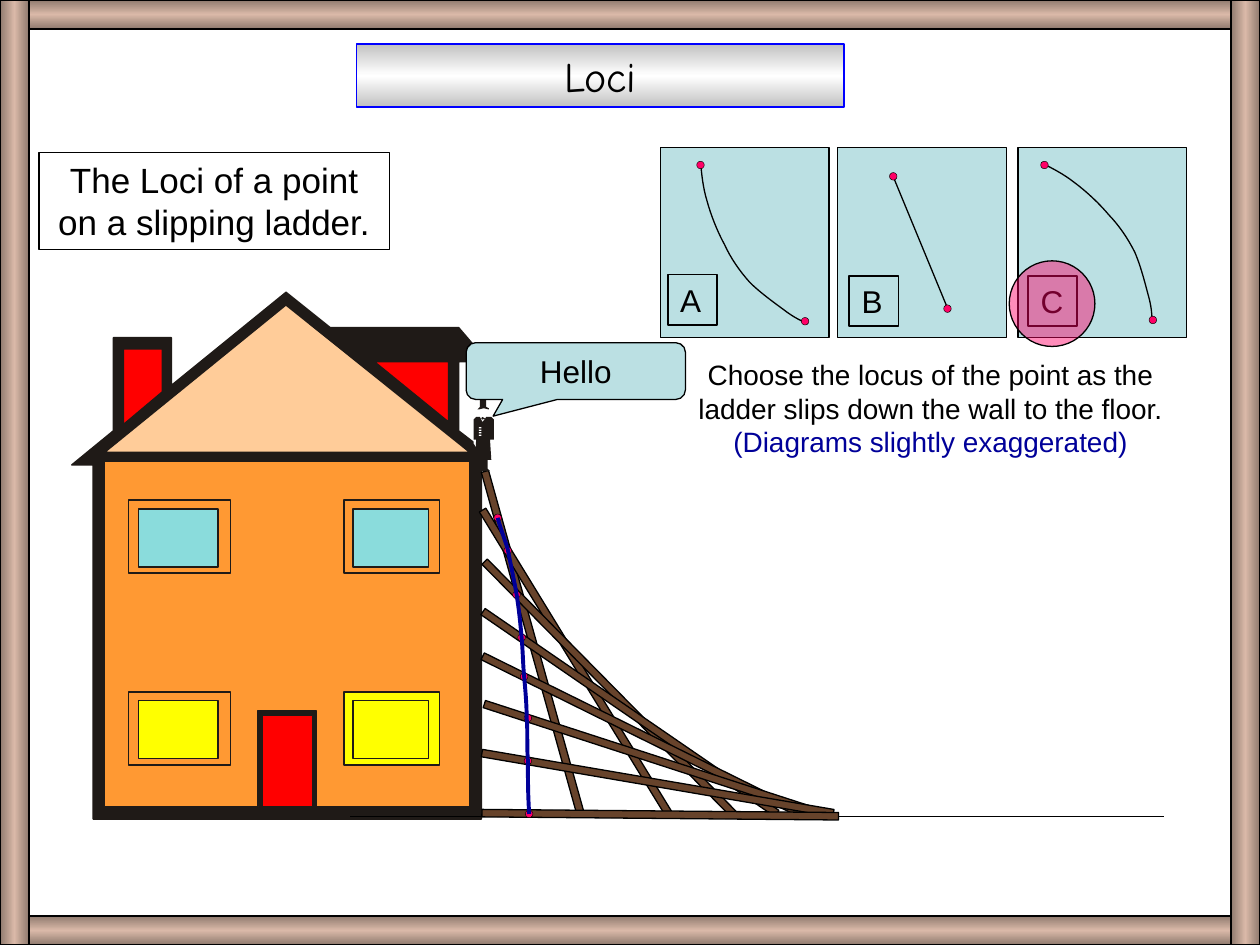
from copy import deepcopy
from dataclasses import dataclass

from lxml import etree
from pptx import Presentation
from pptx.dml.color import RGBColor
from pptx.enum.shapes import MSO_CONNECTOR, MSO_SHAPE
from pptx.enum.text import MSO_ANCHOR, PP_ALIGN
from pptx.oxml.ns import qn
from pptx.util import Pt

PX = 9144  # EMU per px, 100 px to the inch
RECT, OVAL = MSO_SHAPE.RECTANGLE, MSO_SHAPE.OVAL
CALLOUT = MSO_SHAPE.ROUNDED_RECTANGULAR_CALLOUT
STRAIGHT = MSO_CONNECTOR.STRAIGHT
TOP = MSO_ANCHOR.TOP
LEFT, CENTER = PP_ALIGN.LEFT, PP_ALIGN.CENTER


@dataclass(frozen=True)
class Theme:
    black: str = "000000"
    white: str = "FFFFFF"
    ink: str = "1F1A17"
    wall: str = "FF9933"
    gable: str = "FFCC99"
    red: str = "FF0000"
    lit: str = "FFFF00"
    glass: str = "8ADCDC"
    wood: str = "67432B"
    pink: str = "FF0066"
    panel: str = "BBE0E3"
    navy: str = "000099"
    blue: str = "0000FF"
    silver: tuple = ("C1C1C1", "FFFFFF", "C1C1C1")
    copper: tuple = ("8F7A6E", "DAB9A8", "8F7A6E")
    font: str = "Arial"
    title_font: str = "Comic Neue"
    title: int = 24
    heading: int = 20
    label: int = 18
    body: int = 16
    thin: float = 0.75
    house_line: float = 0.88


T = Theme()


def write(shape, *runs, size=T.label, font=T.font, align=CENTER):
    """Fill a shape with one paragraph of (text, colour) runs."""
    tf = shape.text_frame
    tf.word_wrap = True
    tf.vertical_anchor = TOP
    p = tf.paragraphs[0]
    p.alignment = align
    for text, color in runs:
        r = p.add_run()
        r.text = text
        r.font.size, r.font.name = Pt(size), font
        r.font.color.rgb = RGBColor.from_string(color)


class Canvas:
    def __init__(self, slide):
        self.s = slide

    def style(self, sp, fill=None, line=T.black, width=T.thin, alpha=None):
        sp.shadow.inherit = False
        if fill:
            sp.fill.solid()
            sp.fill.fore_color.rgb = RGBColor.from_string(fill)
        else:
            sp.fill.background()
        if alpha:
            clr = sp._element.spPr.find(qn("a:solidFill"))[0]
            etree.SubElement(clr, qn("a:alpha")).set("val", str(alpha * 1000))
        if line:
            sp.line.color.rgb = RGBColor.from_string(line)
            sp.line.width = Pt(width)
        else:
            sp.line.fill.background()
        return sp

    def shape(self, kind, x, y, w, h, rot=0, **look):
        sp = self.s.shapes.add_shape(kind, x * PX, y * PX, w * PX, h * PX)
        sp.rotation = rot
        return self.style(sp, **look)

    def gradient(self, x, y, w, h, colors, angle, line=T.black):
        sp = self.shape(RECT, x, y, w, h, line=line)
        sp.fill.gradient()
        sp.fill.gradient_angle = angle
        stops = sp._element.spPr.find(qn("a:gradFill")).find(qn("a:gsLst"))
        stops.append(deepcopy(stops[0]))
        for i, (stop, color) in enumerate(zip(sp.fill.gradient_stops, colors)):
            stop.position = i / 2
            stop.color.rgb = RGBColor.from_string(color)
        return sp

    def polygons(self, *outlines, close=True, **look):
        fb = self.s.shapes.build_freeform(*outlines[0][0], scale=PX)
        for i, points in enumerate(outlines):
            if i:
                fb.move_to(*points[0])
            fb.add_line_segments(points[1:], close=close)
        return self.style(fb.convert_to_shape(), **look)

    def curve(self, points, **look):
        """Start point, then two control points and an end point per segment."""
        sp = self.polygons(points, close=False, **look)
        outline = next(sp._element.iter(qn("a:path")))
        steps = outline.findall(qn("a:lnTo"))
        for i in range(0, len(steps), 3):
            bezier = etree.SubElement(outline, qn("a:cubicBezTo"))
            for step in steps[i:i + 3]:
                bezier.append(step[0])
                outline.remove(step)
        return sp

    def line(self, x1, y1, x2, y2):
        c = self.s.shapes.add_connector(STRAIGHT, x1 * PX, y1 * PX, x2 * PX, y2 * PX)
        c.line.color.rgb = RGBColor.from_string(T.black)
        c.line.width = Pt(T.thin)
        etree.SubElement(c._element.spPr, qn("a:effectLst"))

    def dot(self, x, y):
        self.shape(OVAL, x, y, 6, 6, fill=T.pink, width=0.25)

    def textbox(self, x, y, w, h):
        return self.s.shapes.add_textbox(x * PX, y * PX, w * PX, h * PX)


def corners(x, y, w, h):
    return [(x, y), (x + w, y), (x + w, y + h), (x, y + h)]


# House outlines
WALL = [(83, 640), (205, 640), (205, 564), (251, 564), (251, 640), (373, 640), (373, 366), (83, 366)]
GABLE = [(83, 359), (373, 359), (227, 242)]
OUTLINE = [(57, 369), (90, 342), (90, 268), (136, 268), (136, 306), (227, 232), (262, 260),
           (364, 260), (387, 287), (364, 287), (364, 342), (399, 369), (382, 369),
           (382, 650), (74, 650), (74, 369)]
CHIMNEY = [(98, 337), (129, 311), (129, 277), (98, 277)]
DORMER = [(356, 335), (356, 287), (297, 287)]
DOOR = (208, 568, 40, 72)
# Frames, then panes: box and fill
WINDOWS = [((102, 549, 81, 58), None), ((102, 397, 81, 58), None),
           ((273, 549, 76, 58), T.lit), ((273, 397, 76, 58), None),
           ((110, 556, 63, 46), T.lit), ((110, 404, 63, 46), T.glass),
           ((280, 556, 60, 46), None), ((280, 404, 60, 46), T.glass)]

# Ladder positions: left, top, rotation, then the marked point
LADDERS = [(420, 369, 344.4, 392, 408), (454, 384, 328.5, 400, 434),
           (481, 405, 315.4, 407, 469), (497, 424, 304.5, 411, 503),
           (507, 442, 296.3, 413, 534), (516, 461, 288, 416, 567),
           (519, 480, 279.7, 416, 601), (521, 505, 270.5, 417, 643)]
LOCUS = [(395, 411), (397, 419), (400, 426), (403, 436), (405, 447), (408, 460), (410, 472),
         (412, 484), (413, 495), (414, 506), (415, 517), (415, 527), (416, 537),
         (417, 548), (418, 559), (418, 570), (419, 581), (418, 591), (419, 604),
         (419, 617), (419, 631), (420, 646)]

# Person on the ladder
HEAD = [(384, 323), (386, 324), (386, 329), (384, 331), (382, 331), (380, 329), (380, 325), (382, 323)]
HANDS = [[(392, 349), (389, 349), (390, 355), (392, 352)],
         [(376, 349), (378, 349), (378, 355), (376, 352)]]
HAT = [(380, 325), (384, 324), (388, 325), (388, 324), (386, 323), (386, 316), (381, 316),
       (381, 323), (379, 325)]
BODY = [(386, 331), (383, 335), (381, 331), (378, 331), (376, 333), (376, 349), (378, 349),
        (377, 365), (380, 365), (380, 372), (377, 374), (389, 374), (387, 372), (387, 365),
        (390, 365), (389, 349), (392, 349), (392, 333), (390, 331)]
TIE = [(383, 331), (385, 332), (383, 333), (382, 332)]
BUTTONS = [corners(380, y, 2, 1) for y in (339, 341, 343, 345)]

# Answer panels: left, letter, label position, end points
PANELS = [(808, "C", (816, 219), [(826, 128), (912, 251)]),
          (524, "A", (530, 218), [(553, 128), (636, 252)]),
          (665, "B", (674, 219), [(749, 242), (706, 137)])]
ARC = [(556, 129), (557, 139), (558, 149), (561, 159), (564, 170), (569, 183), (575, 194),
       (580, 205), (587, 215), (595, 224), (604, 233), (617, 242), (625, 248),
       (632, 253), (637, 255), (641, 257)]


def draw_house(c):
    look = dict(line=T.ink, width=T.house_line)
    holes = [corners(*box) for box in [DOOR] + [box for box, _ in WINDOWS]]
    c.polygons(WALL, GABLE, OUTLINE, CHIMNEY, DORMER, *holes, fill=T.ink, line=None)
    for part, fill in ((WALL, T.wall), (GABLE, T.gable), (OUTLINE, None),
                       (CHIMNEY, T.red), (DORMER, T.red)):
        c.polygons(part, fill=fill, **look)
    for box, fill in [(DOOR, T.red)] + WINDOWS:
        c.shape(RECT, *box, fill=fill, **look)


def draw_ladders(c):
    for x, y, rot, dot_x, dot_y in LADDERS:
        c.shape(RECT, x, y, 6, 283, rot=rot, fill=T.wood)
        c.dot(dot_x, dot_y)
    c.polygons(HEAD, *HANDS, fill=T.white, line=None)
    c.polygons(HAT, BODY, TIE, fill=T.ink, line=None)
    c.polygons(*BUTTONS, fill=T.white, line=None)
    speech = c.shape(CALLOUT, 370, 272, 174, 45, fill=T.panel)
    for i, value in enumerate((-0.377, 0.795, 0.167)):
        speech.adjustments[i] = value
    write(speech, ("Hello", T.black))


def draw_panels(c):
    for x, letter, label_at, ends in PANELS:
        c.shape(RECT, x, 117, 134, 151, fill=T.panel)
        if letter == "B":
            c.line(708, 138, 753, 247)
        elif letter == "A":
            c.curve(ARC)
        else:  # the same arc, mirrored and turned
            arc = c.curve([(px + 272, py - 1) for px, py in ARC])
            arc.rotation = 291.4
            arc._element.spPr.find(qn("a:xfrm")).set("flipH", "1")
        for end in ends:
            c.dot(*end)
        label = c.shape(RECT, *label_at, 39, 40, width=1)
        write(label, (letter, T.black), align=LEFT)


def main():
    prs = Presentation()
    prs.slide_width, prs.slide_height = 1000 * PX, 750 * PX
    c = Canvas(prs.slides.add_slide(prs.slide_layouts[6]))

    # Headings
    write(c.shape(RECT, 31, 121, 278, 77),
          ("The Loci of a point on a slipping ladder.", T.black), size=T.heading)
    write(c.gradient(283, 35, 387, 50, T.silver, 90, line=T.blue),
          ("Loci", T.black), size=T.title, font=T.title_font)

    # House, ground and ladders
    draw_house(c)
    c.line(278, 648, 924, 648)
    c.shape(RECT, 382, 351, 22, 22, fill=T.white, line=None)
    draw_ladders(c)

    # Question and answer
    draw_panels(c)
    write(c.textbox(531, 279, 415, 90),
          ("Choose the locus of the point as the ladder slips down the wall to the floor. ", T.black),
          ("(Diagrams slightly exaggerated)", T.navy), size=T.body)
    c.curve(LOCUS, line=T.navy, width=2.25)
    c.shape(OVAL, 801, 207, 68, 68, fill=T.pink, alpha=45)

    # Slide frame
    for y in (0, 727):
        c.gradient(0, y, 1000, 23, T.copper, 90)
    for x in (977, 0):
        c.gradient(x, 0, 23, 750, T.copper, 180)

    prs.save("out.pptx")


if __name__ == "__main__":
    main()
